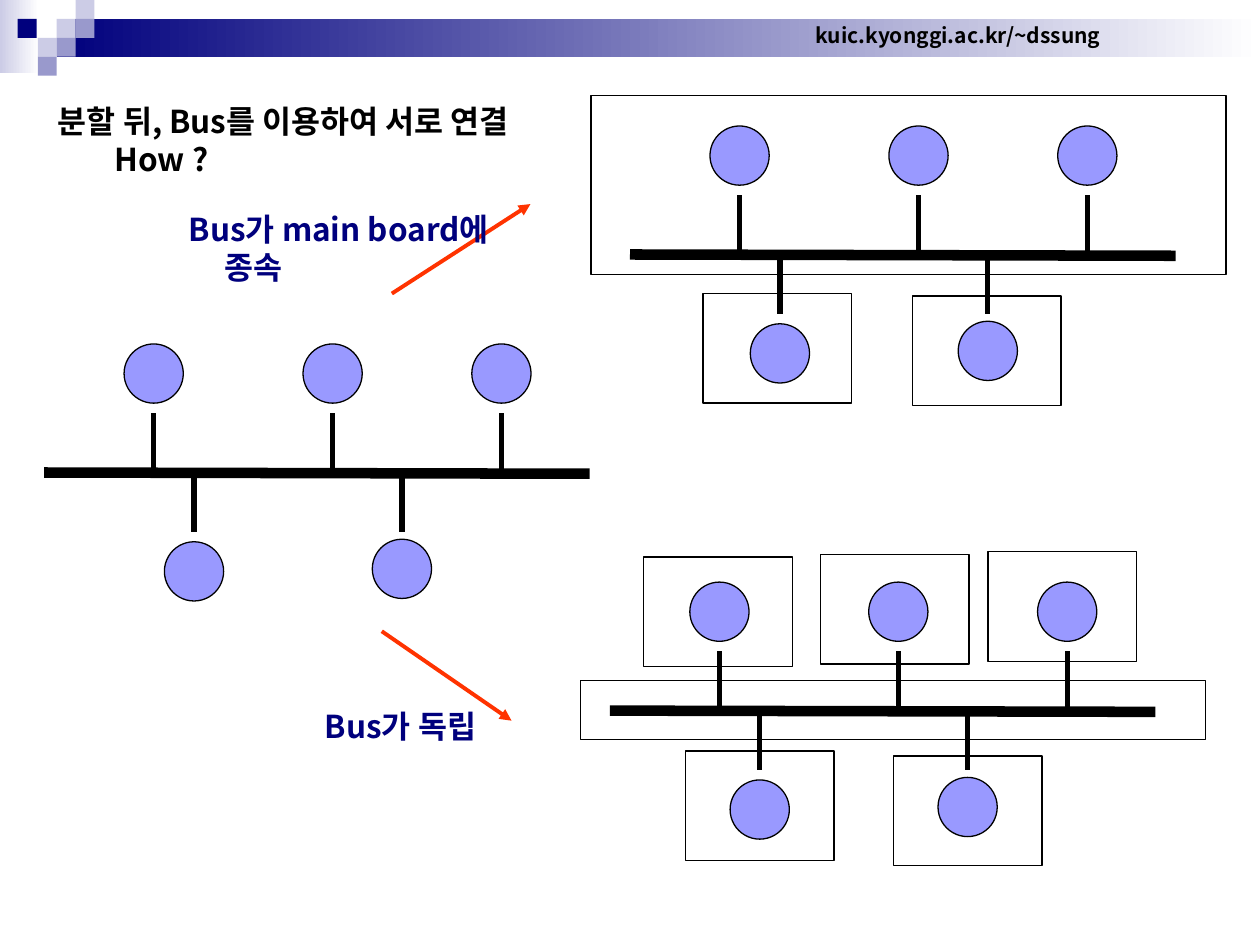
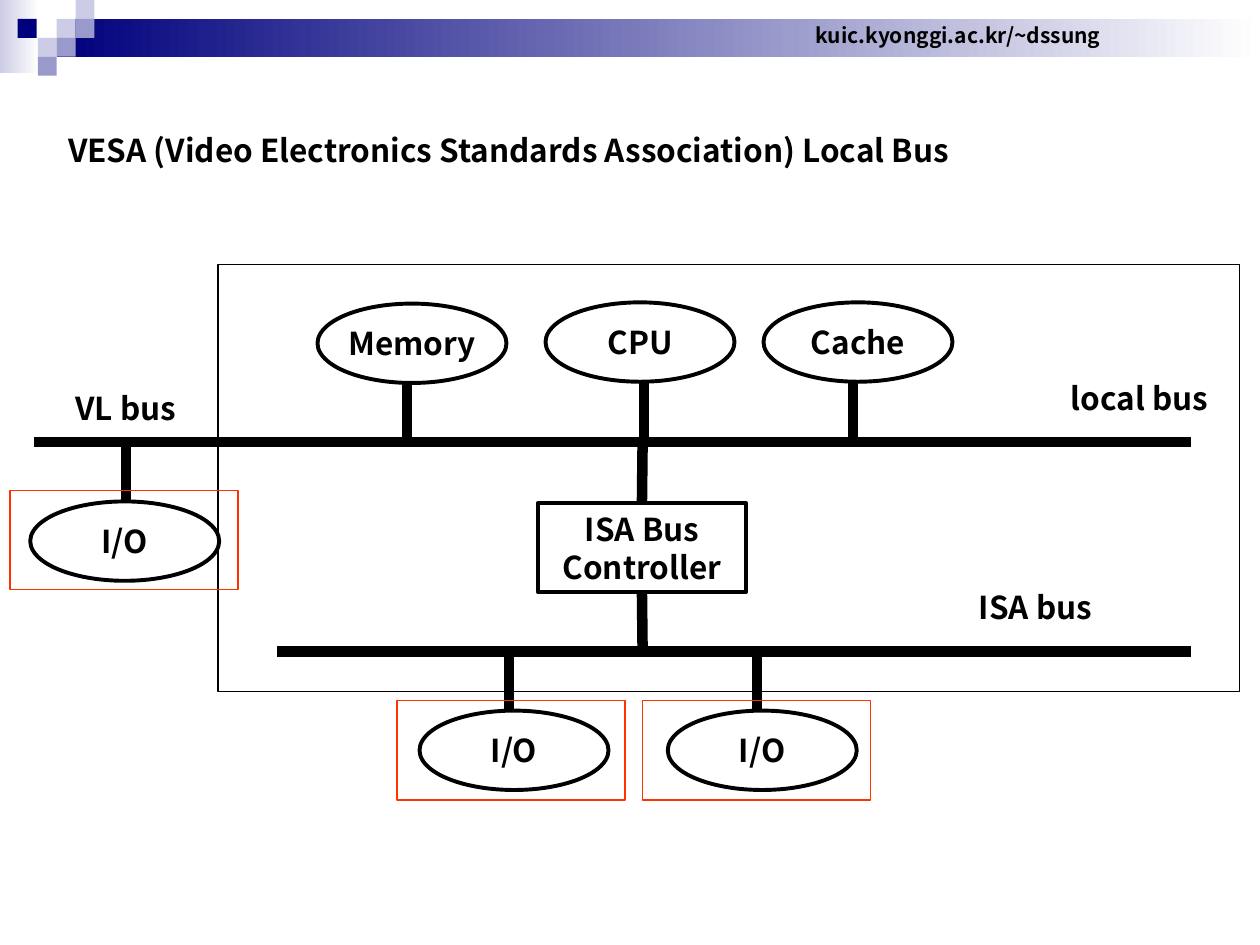
from lxml.etree import SubElement
from pptx import Presentation
from pptx.dml.color import RGBColor
from pptx.enum.shapes import MSO_CONNECTOR, MSO_SHAPE
from pptx.enum.text import MSO_ANCHOR, MSO_AUTO_SIZE, PP_ALIGN
from pptx.oxml.ns import qn
from pptx.util import Inches, Pt

FONT = "Noto Sans CJK KR"
C = {"black": "000000", "white": "FFFFFF", "navy": "00007D", "pale": "CCCCE6",
     "mid": "9999CC", "node": "9999FF", "red": "FF3300"}

GRADIENTS = [((0, 0, 0.31, 0.58), "pale"), ((0.45, 0.15, 9.55, 0.3), "navy")]
TILE = 0.15
TILES = [(0.45, 0.15, "pale"), (0.6, 0, "pale"), (0.6, 0.15, "mid"), (0.3, 0.3, "pale"),
         (0.14, 0.15, "navy"), (0.45, 0.3, "mid"), (0.3, 0.45, "mid")]
SITE = ("kuic.kyonggi.ac.kr/~dssung", (6.37, 0.13, 2.47, 0.3))

SPLIT_TITLE = ("분할 뒤, Bus를 이용하여 서로 연결\nHow ?", (0.36, 0.76, 3.9, 0.7))
SPLIT_NOTES = [("Bus가 독립", (2.48, 5.56, 1.46, 0.4), 0),
               ("Bus가 main board에\n종속", (1.4, 1.62, 2.79, 0.7), 0.28)]
SPLIT_ARROWS = [((3.11, 2.33), (4.21, 1.62)), ((3.03, 5.01), (4.06, 5.72))]
BUS_ORIGINS = [(0.35, 3.75), (4.84, 5.64), (5, 2.02)]
BUS_LENGTH, STEM, NODE = 4.33, 0.47, 0.47
NODES = [(0.87, -1.02, -1), (2.29, -1.02, -1), (3.63, -1.02, -1), (1.19, 0.55, 1), (2.84, 0.53, 1)]
CARD = (1.18, 0.87)
CARDS = [(5.11, 4.42), (6.51, 4.4), (7.84, 4.38), (5.44, 5.96), (7.09, 6), (5.58, 2.33), (7.24, 2.35)]
BOARDS = [(4.61, 5.4, 4.96, 0.47), (4.69, 0.76, 5.04, 1.42)]

VESA_TITLE = ("VESA (Video Electronics Standards Association) Local Bus", (0.44, 0.99, 7.24, 0.4))
BUS_LABELS = [("local bus", (8.4, 2.96, 1.3, 0.4)), ("ISA bus", (7.67, 4.62, 1.12, 0.4)),
              ("VL bus", (0.5, 3.04, 1.01, 0.4))]
LOCAL_Y, ISA_Y = 3.51, 5.17
BUSES = [(0.27, LOCAL_Y), (2.2, ISA_Y)]
BUS_END = 9.45
UNIT = (1.5, 0.63)
UNITS = [("CPU", 4.33, 2.4), ("Memory", 2.52, 2.41), ("Cache", 6.06, 2.4),
         ("I/O", 3.33, 5.64), ("I/O", 5.3, 5.64), ("I/O", 0.24, 3.98)]
LINKS = [(5.11, 3.03, LOCAL_Y), (6.77, 3.03, LOCAL_Y), (3.23, 3.04, LOCAL_Y),
         (4.04, ISA_Y, 5.64), (6.01, ISA_Y, 5.64), (1, LOCAL_Y, 3.99)]
CONTROLLER = ("ISA Bus\nController", (4.27, 3.99, 1.65, 0.71))
CONTROLLER_X = 5.1
MAIN_BOARD = (1.73, 2.1, 8.11, 3.39)
IO_CARD = (1.81, 0.79)
IO_CARDS = [(3.15, 5.56), (5.1, 5.56), (0.08, 3.89)]


def rgb(name):
    return RGBColor.from_string(C[name])


def inches(values):
    return [Inches(v) for v in values]


def set_text(sp, text, size=18, color="black", align=PP_ALIGN.LEFT, anchor=MSO_ANCHOR.TOP, indent=0):
    tf = sp.text_frame
    tf.text = text
    tf.word_wrap = False
    tf.auto_size = MSO_AUTO_SIZE.NONE
    tf.vertical_anchor = anchor
    for i, p in enumerate(tf.paragraphs):
        p.alignment = align
        if i and indent:
            p._p.get_or_add_pPr().set("marL", str(Inches(indent)))
        for r in p.runs:
            r.font.size, r.font.bold, r.font.name = Pt(size), True, FONT
            r.font.color.rgb = rgb(color)
            SubElement(r._r.get_or_add_rPr(), qn("a:ea")).set("typeface", FONT)


def add_label(s, text, box, **style):
    set_text(s.shapes.add_textbox(*inches(box)), text, **style)


def add_box(s, box, fill=None, line=None, width=0.75, kind=MSO_SHAPE.RECTANGLE):
    sp = s.shapes.add_shape(kind, *inches(box))
    sp.shadow.inherit = False
    if fill:
        sp.fill.solid()
        sp.fill.fore_color.rgb = rgb(fill)
    else:
        sp.fill.background()
    if line:
        sp.line.color.rgb = rgb(line)
        sp.line.width = Pt(width)
    else:
        sp.line.fill.background()
    return sp


def add_line(s, start, end, width, color="black", arrow=False):
    cx = s.shapes.add_connector(MSO_CONNECTOR.STRAIGHT, *inches(start + end))
    cx.line.color.rgb = rgb(color)
    cx.line.width = Pt(width)
    if arrow:
        SubElement(cx.line._get_or_add_ln(), qn("a:tailEnd")).set("type", "triangle")
    SubElement(cx._element.spPr, qn("a:effectLst"))
    return cx


def add_slide(prs, title, box, indent=0):
    s = prs.slides.add_slide(prs.slide_layouts[5])
    for area, color in GRADIENTS:
        sp = add_box(s, area)
        sp.fill.gradient()
        sp.fill.gradient_angle = 0
        for stop, name in zip(sp.fill.gradient_stops, (color, "white")):
            stop.color.rgb = rgb(name)
    for x, y, color in TILES:
        add_box(s, (x, y, TILE, TILE), color)
    add_label(s, *SITE, size=12, align=PP_ALIGN.CENTER, anchor=MSO_ANCHOR.MIDDLE)
    sp = s.shapes.title
    sp.left, sp.top, sp.width, sp.height = inches(box)
    set_text(sp, title, indent=indent)
    return s


def add_bus(s, x, y):
    add_line(s, (x, y), (x + BUS_LENGTH, y + 0.01), 6)
    for dx, dy, side in NODES:
        cx = x + dx
        add_line(s, (cx, y), (cx, y + side * STEM), 3)
        add_box(s, (cx - NODE / 2, y + dy, NODE, NODE), "node", "black", kind=MSO_SHAPE.OVAL)


def build_split(prs):
    s = add_slide(prs, *SPLIT_TITLE, indent=0.45)
    for origin in BUS_ORIGINS:
        add_bus(s, *origin)
    for box in [card + CARD for card in CARDS] + BOARDS:
        add_box(s, box, line="black")
    for start, end in SPLIT_ARROWS:
        add_line(s, start, end, 2.25, "red", arrow=True)
    for text, box, indent in SPLIT_NOTES:
        add_label(s, text, box, color="navy", indent=indent)


def build_vesa(prs):
    s = add_slide(prs, *VESA_TITLE)
    centred = {"align": PP_ALIGN.CENTER, "anchor": MSO_ANCHOR.MIDDLE}
    for x, y in BUSES:
        add_line(s, (x, y), (BUS_END, y), 6)
    for x, top, bottom in LINKS:
        add_line(s, (x, top), (x, bottom), 6)
    for text, x, y in UNITS:
        sp = add_box(s, (x, y) + UNIT, "white", "black", 2.25, MSO_SHAPE.OVAL)
        set_text(sp, text, **centred)
    text, box = CONTROLLER
    controller = add_box(s, box, line="black", width=2.25)
    set_text(controller, text, **centred)
    for bus_y, side, edge in [(LOCAL_Y, 0, box[1]), (ISA_Y, 2, box[1] + box[3])]:
        cx = add_line(s, (CONTROLLER_X, bus_y), (CONTROLLER_X, edge), 6)
        cx.end_connect(controller, side)
    add_box(s, MAIN_BOARD, line="black")
    for card in IO_CARDS:
        add_box(s, card + IO_CARD, line="red")
    for text, box in BUS_LABELS:
        add_label(s, text, box)


def main():
    prs = Presentation()
    prs.slide_width, prs.slide_height = Inches(10), Inches(7.5)
    build_split(prs)
    build_vesa(prs)
    prs.save("out.pptx")


if __name__ == "__main__":
    main()
